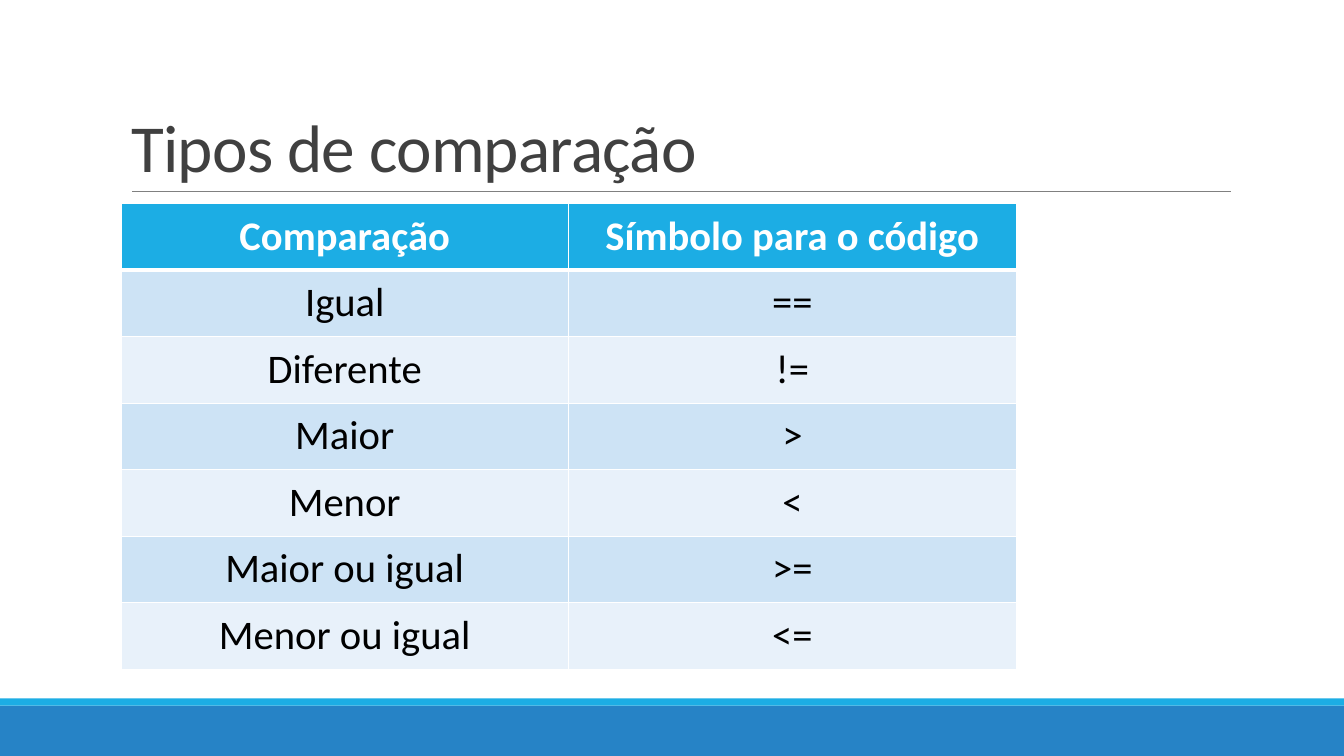
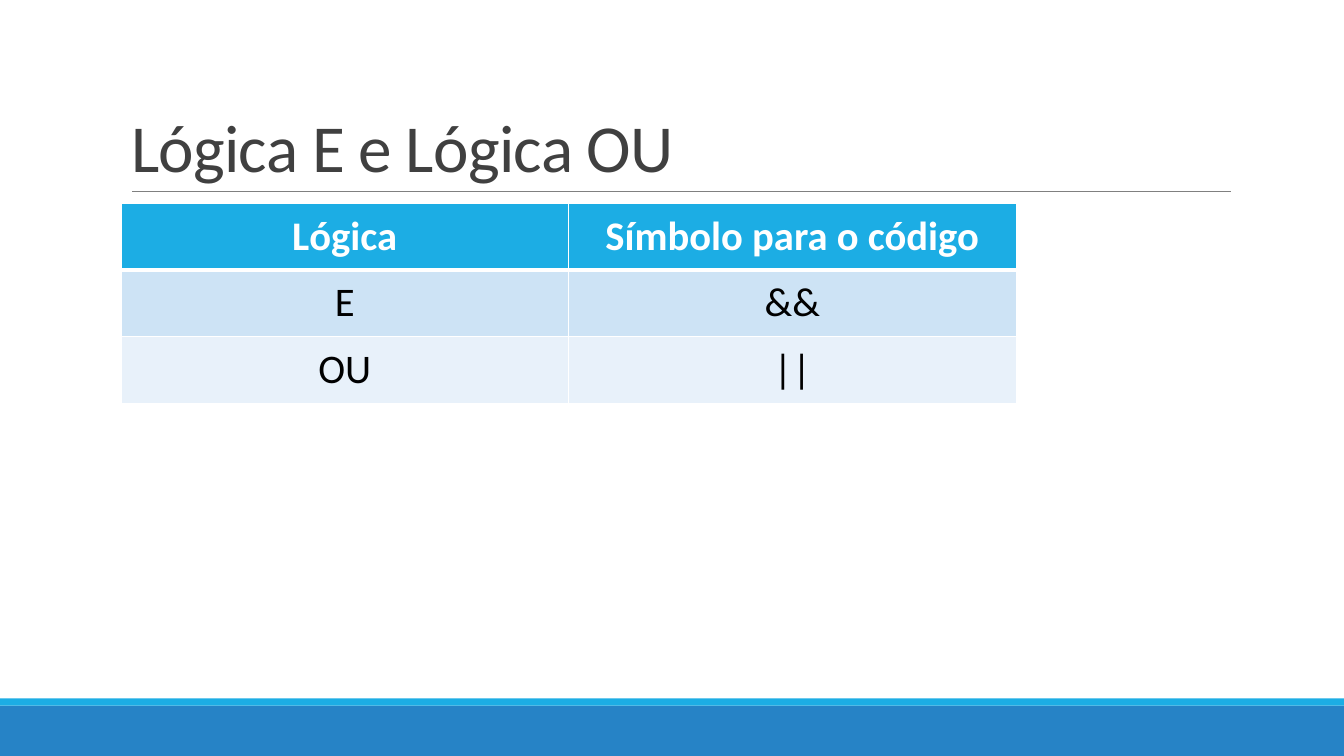
from lxml import etree
from pptx import Presentation
from pptx.dml.color import RGBColor
from pptx.enum import shapes, text
from pptx.oxml import ns
from pptx.util import Inches, Pt

SLIDES = [
    ("Tipos de comparação", [
        ("Comparação", "Símbolo para o código"),
        ("Igual", "=="),
        ("Diferente", "!="),
        ("Maior", ">"),
        ("Menor", "<"),
        ("Maior ou igual", ">="),
        ("Menor ou igual", "<="),
    ]),
    ("Lógica E e Lógica OU", [
        ("Lógica", "Símbolo para o código"),
        ("E", "&&"),
        ("OU", "||"),
    ]),
]

COLORS = {
    "footer": "2683C6", "accent": "1CADE4", "rule": "808080",
    "title": "404040", "white": "FFFFFF", "black": "000000",
    "odd": "CDE3F5", "even": "E8F1FA",
}
FONT = "Calibri"
BANDS = [("footer", 7, 0.5), ("accent", 6.93, 0.07)]
LEFT, TABLE_TOP = 1.2, 2.02
COL_WIDTH, ROW_HEIGHT = 4.44, 0.66


def rgb(name):
    return RGBColor.from_string(COLORS[name])


def style_font(font, size, color, bold=False):
    font.name, font.size, font.bold = FONT, Pt(size), bold
    font.color.rgb = rgb(color)


def add_frame(s, width):
    """Draw the bottom bands and the rule under the title."""
    for color, top, height in BANDS:
        sp = s.shapes.add_shape(shapes.MSO_SHAPE.RECTANGLE, 0, Inches(top),
                                width, Inches(height))
        sp.shadow.inherit = False
        sp.fill.solid()
        sp.fill.fore_color.rgb = rgb(color)
        sp.line.fill.background()
    rule = s.shapes.add_connector(shapes.MSO_CONNECTOR.STRAIGHT, Inches(1.31),
                                  Inches(1.9), Inches(12.21), Inches(1.9))
    rule.line.color.rgb = rgb("rule")
    rule.line.width = Pt(0.5)
    etree.SubElement(rule._element.spPr, ns.qn("a:effectLst"))


def set_title(s, title):
    sp = s.shapes.title
    sp.left, sp.top = Inches(LEFT), Inches(0.31)
    sp.width, sp.height = Inches(11), Inches(1.59)
    tf = sp.text_frame
    tf.text = title
    tf.word_wrap = True
    tf.auto_size = text.MSO_AUTO_SIZE.NONE
    tf.vertical_anchor = text.MSO_ANCHOR.BOTTOM
    p = tf.paragraphs[0]
    p.alignment = text.PP_ALIGN.LEFT
    p.line_spacing = 0.85
    style_font(p.font, 48, "title")
    p.runs[0].font._element.set("spc", "-50")


def set_borders(cell, widths):
    """Give the cell white borders; widths maps each side to points."""
    tc_pr = cell._tc.get_or_add_tcPr()
    for side, width in widths.items():
        ln = etree.SubElement(tc_pr, ns.qn(f"a:ln{side}"), w=str(Pt(width)))
        fill = etree.SubElement(ln, ns.qn("a:solidFill"))
        etree.SubElement(fill, ns.qn("a:srgbClr"), val=COLORS["white"])


def add_grid(s, rows):
    cols = len(rows[0])
    table = s.shapes.add_table(
        len(rows), cols, Inches(LEFT), Inches(TABLE_TOP),
        Inches(COL_WIDTH * cols), Inches(ROW_HEIGHT * len(rows))).table
    for col in table.columns:
        col.width = Inches(COL_WIDTH)
    for i, row in enumerate(rows):
        table.rows[i].height = Inches(ROW_HEIGHT)
        header = i == 0
        fill = "accent" if header else "odd" if i % 2 else "even"
        widths = {"L": 1, "R": 1, "T": 3 if i == 1 else 1,
                  "B": 3 if header else 1}
        for j, value in enumerate(row):
            cell = table.cell(i, j)
            set_borders(cell, widths)
            cell.fill.solid()
            cell.fill.fore_color.rgb = rgb(fill)
            cell.margin_left = cell.margin_right = Inches(0.16)
            cell.margin_top = cell.margin_bottom = Inches(0.08)
            cell.text = value
            p = cell.text_frame.paragraphs[0]
            p.alignment = text.PP_ALIGN.CENTER
            style_font(p.font, 29, "white" if header else "black", header)


def main():
    prs = Presentation()
    prs.slide_width, prs.slide_height = Inches(13.33), Inches(7.5)
    for title, rows in SLIDES:
        s = prs.slides.add_slide(prs.slide_layouts.get_by_name("Title Only"))
        add_frame(s, prs.slide_width)
        set_title(s, title)
        add_grid(s, rows)
    prs.save("out.pptx")


if __name__ == "__main__":
    main()
